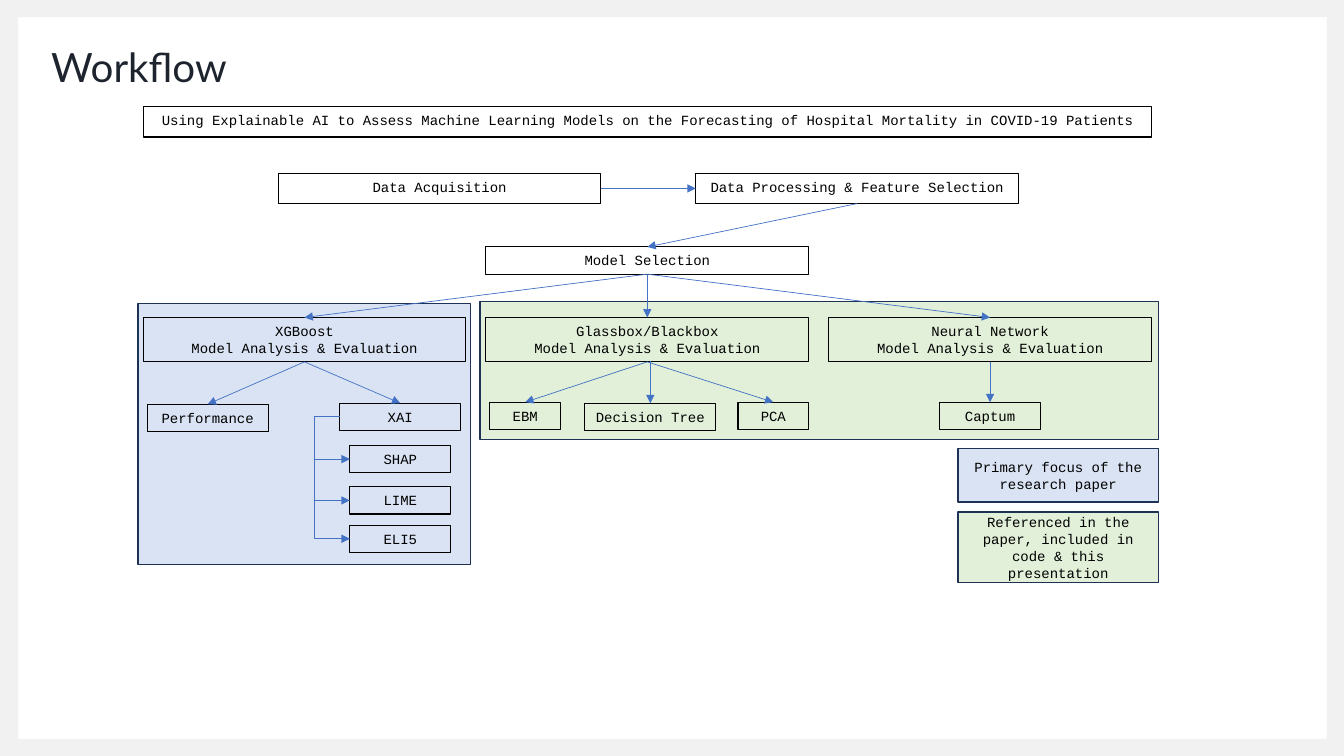
from dataclasses import dataclass
from typing import Optional

from lxml.etree import SubElement
from pptx import Presentation
from pptx.dml.color import RGBColor
from pptx.enum.shapes import MSO_CONNECTOR as Connector, MSO_SHAPE as Preset
from pptx.enum.text import MSO_ANCHOR as Anchor, MSO_AUTO_SIZE as AutoSize, PP_ALIGN as Align
from pptx.oxml.ns import qn
from pptx.util import Inches, Pt

TOP, LEFT, BOTTOM, RIGHT = range(4)
SLIDE_WIDTH, SLIDE_HEIGHT = 13.33, 7.5


@dataclass(frozen=True)
class Theme:
    background: str = "FFFFFF"
    frame: str = "F2F1F1"
    title: str = "1D242E"
    text: str = "000000"
    arrow: str = "4472C4"
    panel_line: str = "1E3256"
    primary: str = "DAE3F3"
    referenced: str = "E2F0D9"
    title_font: str = "Lato"
    body_font: str = "Courier New"
    title_size: float = 28.8
    body_size: float = 10


@dataclass(frozen=True)
class Box:
    text: str
    left: float
    top: float
    width: float
    height: float
    fill: Optional[str] = None


@dataclass(frozen=True)
class Arrow:
    source: str
    source_side: int
    target: str
    target_side: int


THEME = Theme()
STAGE_WIDTH, STAGE_HEIGHT, LEAF_HEIGHT = 3.2, 0.3, 0.27
BRANCH_LEFT, BRANCH_STEP, BRANCH_TOP, BRANCH_HEIGHT = 1.42, 3.4, 3.15, 0.44

PANELS = [
    Box("", 4.76, 2.99, 6.73, 1.37, THEME.referenced),
    Box("", 1.37, 3.01, 3.3, 2.59, THEME.primary),
]
LEGEND = [
    Box("Primary focus of the research paper", 9.5, 4.45, 1.99, 0.53, THEME.primary),
    Box("Referenced in the paper, included in code & this presentation",
        9.5, 5.08, 1.99, 0.7, THEME.referenced),
]
STAGES = [
    Box("Using Explainable AI to Assess Machine Learning Models on the Forecasting "
        "of Hospital Mortality in COVID-19 Patients", 1.42, 1.06, 10, STAGE_HEIGHT),
    Box("Data Acquisition", 2.76, 1.72, STAGE_WIDTH, STAGE_HEIGHT),
    Box("Data Processing & Feature Selection", 6.9, 1.72, STAGE_WIDTH, STAGE_HEIGHT),
    Box("Model Selection", 4.82, 2.45, STAGE_WIDTH, LEAF_HEIGHT),
]
BRANCHES = [
    Box(f"{model}\nModel Analysis & Evaluation", BRANCH_LEFT + index * BRANCH_STEP,
        BRANCH_TOP, STAGE_WIDTH, BRANCH_HEIGHT)
    for index, model in enumerate(["XGBoost", "Glassbox/Blackbox", "Neural Network"])
]
LEAVES = [
    Box(text, left, top, width, LEAF_HEIGHT)
    for text, left, top, width in [
        ("Performance", 1.46, 4.01, 1.2),
        ("XAI", 3.37, 4, 1.2),
        ("SHAP", 3.47, 4.42, 1),
        ("LIME", 3.47, 4.83, 1),
        ("ELI5", 3.47, 5.21, 1),
        ("EBM", 4.86, 3.99, 0.7),
        ("Decision Tree", 5.8, 4, 1.3),
        ("PCA", 7.32, 3.99, 0.7),
        ("Captum", 9.32, 3.99, 1),
    ]
]
ARROWS = [
    Arrow("Data Acquisition", RIGHT, "Data Processing & Feature Selection", LEFT),
] + [
    Arrow(source, BOTTOM, target, TOP)
    for source, targets in {
        "Data Processing & Feature Selection": ["Model Selection"],
        "Model Selection": ["XGBoost", "Glassbox/Blackbox", "Neural Network"],
        "XGBoost": ["Performance", "XAI"],
        "Glassbox/Blackbox": ["EBM", "PCA"],
        "Neural Network": ["Captum"],
    }.items()
    for target in targets
]
ELBOWS = [Arrow("XAI", LEFT, method, LEFT) for method in ("SHAP", "LIME", "ELI5")]
ELBOW_REACH = -250000  # bend lies 2.5 connector widths left of the start


def write_text(shape, text: str, *, font: str = THEME.body_font, size: float = THEME.body_size,
               color: str = THEME.text, align=Align.CENTER, anchor=Anchor.MIDDLE,
               spacing: Optional[float] = None, auto_size=AutoSize.NONE) -> None:
    frame = shape.text_frame
    frame.word_wrap = True
    frame.auto_size = auto_size
    frame.vertical_anchor = anchor
    frame.text = text
    for paragraph in frame.paragraphs:
        paragraph.alignment = align
        paragraph.line_spacing = spacing
        paragraph.font.name = font
        paragraph.font.size = Pt(size)
        paragraph.font.color.rgb = RGBColor.from_string(color)


def draw_box(slide, box: Box, *, line: str, width: float, **text_format):
    shape = slide.shapes.add_shape(
        Preset.RECTANGLE, *map(Inches, (box.left, box.top, box.width, box.height)))
    shape.shadow.inherit = False
    if box.fill:
        shape.fill.solid()
        shape.fill.fore_color.rgb = RGBColor.from_string(box.fill)
    else:
        shape.fill.background()
    shape.line.color.rgb = RGBColor.from_string(line)
    shape.line.width = Pt(width)
    if box.text:
        write_text(shape, box.text, **text_format)
    return shape


def draw_connector(slide, kind=Connector.STRAIGHT, start=(0, 0), end=(0, 0)):
    connector = slide.shapes.add_connector(kind, *map(Inches, (*start, *end)))
    connector.line.color.rgb = RGBColor.from_string(THEME.arrow)
    connector.line.width = Pt(0.5)
    SubElement(connector.line._get_or_add_ln(), qn("a:tailEnd"), type="triangle")
    SubElement(connector._element.spPr, qn("a:effectLst"))
    return connector


def draw_arrow(slide, arrow: Arrow, shapes: dict, kind=Connector.STRAIGHT):
    connector = draw_connector(slide, kind)
    connector.begin_connect(shapes[arrow.source], arrow.source_side)
    connector.end_connect(shapes[arrow.target], arrow.target_side)
    return connector


def draw_frame(slide) -> None:
    builder = slide.shapes.build_freeform(Inches(0), Inches(0), scale=1)
    outer = [(SLIDE_WIDTH, 0), (SLIDE_WIDTH, SLIDE_HEIGHT), (0, SLIDE_HEIGHT)]
    inner = [(0.18, 7.33), (13.16, 7.33), (13.16, 0.17)]
    builder.add_line_segments([(Inches(x), Inches(y)) for x, y in outer])
    builder.move_to(Inches(0.18), Inches(0.17))
    builder.add_line_segments([(Inches(x), Inches(y)) for x, y in inner])
    frame = builder.convert_to_shape()
    frame.shadow.inherit = False
    frame.fill.solid()
    frame.fill.fore_color.rgb = RGBColor.from_string(THEME.frame)
    frame.line.fill.background()


def main() -> None:
    presentation = Presentation()
    presentation.slide_width = Inches(SLIDE_WIDTH)
    presentation.slide_height = Inches(SLIDE_HEIGHT)
    slide = presentation.slides.add_slide(presentation.slide_layouts[6])
    slide.background.fill.solid()
    slide.background.fill.fore_color.rgb = RGBColor.from_string(THEME.background)

    # Frame, panels and legend
    draw_frame(slide)
    for box in PANELS + LEGEND:
        draw_box(slide, box, line=THEME.panel_line, width=1)

    # Title
    title = slide.shapes.add_textbox(*map(Inches, (0.41, 0.36, 11.08, 0.59)))
    write_text(title, "Workflow", font=THEME.title_font, size=THEME.title_size,
               color=THEME.title, align=Align.LEFT, anchor=Anchor.BOTTOM, spacing=1.1)

    # Workflow boxes, keyed by their first line
    shapes = {
        box.text.split("\n")[0]: draw_box(
            slide, box, line=THEME.text, width=0.75, anchor=Anchor.TOP,
            auto_size=AutoSize.SHAPE_TO_FIT_TEXT)
        for box in STAGES + BRANCHES + LEAVES
    }

    # Arrows
    for arrow in ARROWS:
        draw_arrow(slide, arrow, shapes)
    tree_arrow = draw_connector(slide, start=(6.45, 3.58), end=(6.45, 4))
    tree_arrow.end_connect(shapes["Decision Tree"], TOP)
    for arrow in ELBOWS:
        elbow = draw_arrow(slide, arrow, shapes, Connector.ELBOW)
        adjustments = elbow._element.spPr.find(qn("a:prstGeom")).find(qn("a:avLst"))
        SubElement(adjustments, qn("a:gd"), name="adj1", fmla=f"val {ELBOW_REACH}")

    presentation.save("out.pptx")


if __name__ == "__main__":
    main()
